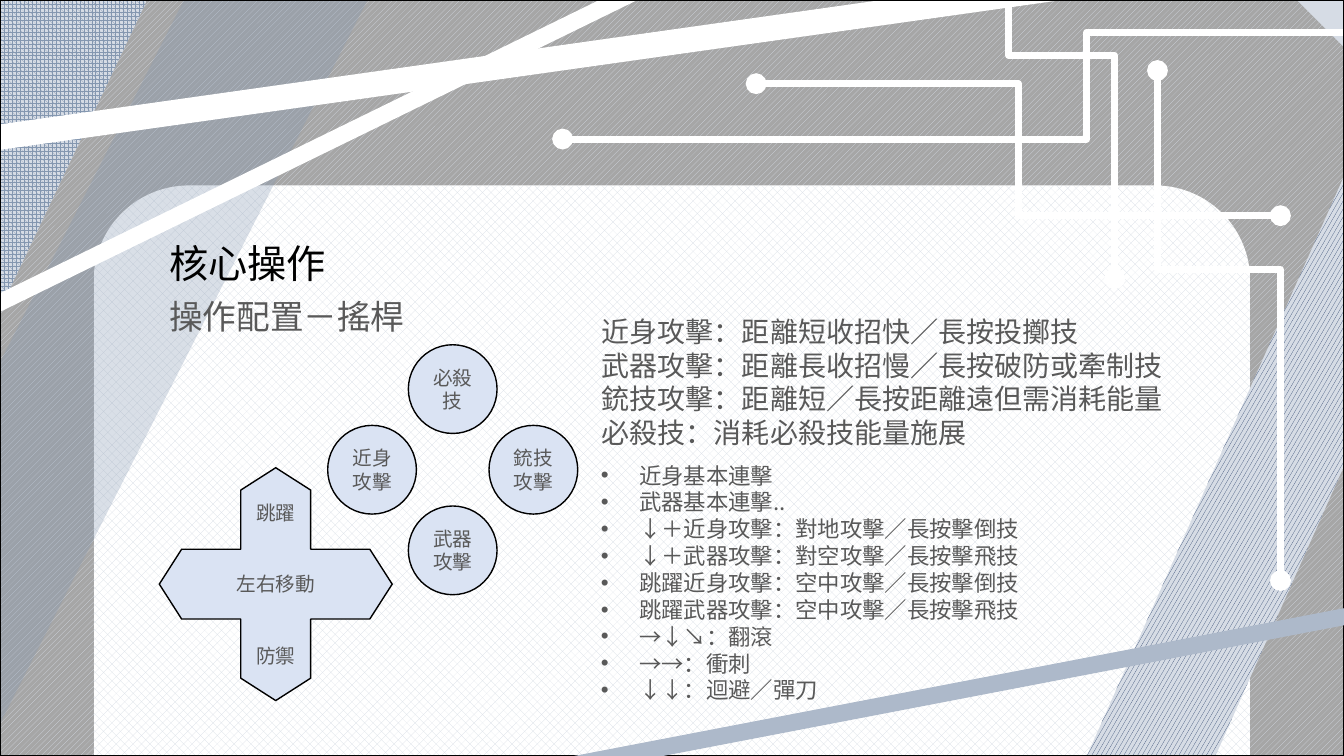
"""Build the joystick control layout slide."""
from dataclasses import dataclass

from lxml import etree
from pptx import Presentation
from pptx import util as u
from pptx.dml.color import RGBColor
from pptx.enum import dml, shapes, text
from pptx.oxml import ns

PX = 9144
SHAPE = shapes.MSO_SHAPE
PATTERN = dml.MSO_PATTERN


@dataclass(frozen=True)
class Theme:
    white: str = "FFFFFF"
    black: str = "000000"
    ink: str = "595959"
    pale: str = "D6DCE5"
    grey: str = "A6A6A6"
    navy: str = "203864"
    steel: str = "8497B0"
    mist: str = "ADB9CA"
    button: str = "DAE3F3"
    heading_font: str = "Calibri"
    text_font: str = "Noto Sans CJK SC"
    title_size: int = 28
    subtitle_size: int = 24
    lead_size: int = 20
    list_size: int = 16
    button_size: int = 14


THEME = Theme()


@dataclass(frozen=True)
class Area:
    left: int
    top: int
    width: int
    height: int

    def emu(self) -> tuple:
        return tuple(n * PX for n in (self.left, self.top, self.width, self.height))


@dataclass(frozen=True)
class Panel:
    area: Area
    kind: int
    fore: str | None = None
    back: str = THEME.pale
    pattern: int | None = None
    adjust: tuple = ()
    flip: str = ""
    alpha: int = 100
    border: str | None = None


@dataclass(frozen=True)
class Wire:
    start: tuple
    end: tuple
    width: int
    color: str = THEME.white
    bend: int | None = None
    turn: int = 0
    flip: str = ""


@dataclass(frozen=True)
class Style:
    size: int
    font: str
    color: str = THEME.ink
    align: int = text.PP_ALIGN.LEFT
    gap: int = 0
    bullet: bool = False


SLIDE = Area(0, 0, 1333, 750)
BACKDROP = (
    Panel(SLIDE, SHAPE.RECTANGLE, THEME.pale),
    Panel(Area(-227, -163, 1807, 914), SHAPE.SNIP_2_SAME_RECTANGLE, THEME.pale, THEME.grey,
          PATTERN.WIDE_UPWARD_DIAGONAL, (0.5, 0)),
    Panel(Area(93, 184, 1147, 566), SHAPE.ROUND_2_SAME_RECTANGLE, THEME.pale, THEME.white,
          PATTERN.from_xml("pct40")),
    Panel(Area(1078, 175, 255, 575), SHAPE.DIAGONAL_STRIPE, THEME.navy, THEME.pale,
          PATTERN.LARGE_CONFETTI, flip="HV"),
    Wire((891, 62), (1215, 167), 5, bend=31600, turn=270, flip="H"),
    Wire((750, 83), (1270, 214), 5, bend=50000),
    Wire((558, 32), (1348, 138), 5, bend=34200, turn=180, flip="V"),
    Wire((956, 262), (1462, 384), 5, bend=61000, turn=270, flip="V"),
    Panel(Area(0, 0, 146, 307), SHAPE.DIAGONAL_STRIPE, THEME.steel, THEME.pale,
          PATTERN.SPHERE, (0,)),
    Panel(Area(0, 1, 364, 717), SHAPE.DIAGONAL_STRIPE, THEME.steel, alpha=30),
    Wire((648, -17), (-14, 307), 12),
    Wire((1084, -17), (-14, 138), 18),
    Panel(SLIDE, SHAPE.RECTANGLE, border=THEME.black),
    Wire((1348, 609), (525, 767), 12, THEME.mist),
)
BUTTON_SIZE, BUTTON_STEP, PAD_CENTER = 88, 80, (449, 466)
BUTTONS = (("必殺技", 0, -1), ("近身攻擊", -1, 0), ("銃技攻擊", 1, 0), ("武器攻擊", 0, 1))
STICK = ("跳躍", "左右移動", "防禦")
ATTACKS = (
    "近身攻擊：距離短收招快／長按投擲技",
    "武器攻擊：距離長收招慢／長按破防或牽制技",
    "銃技攻擊：距離短／長按距離遠但需消耗能量",
    "必殺技：消耗必殺技能量施展",
)
MOVES = (
    "近身基本連擊",
    "武器基本連擊..",
    "↓＋近身攻擊：對地攻擊／長按擊倒技",
    "↓＋武器攻擊：對空攻擊／長按擊飛技",
    "跳躍近身攻擊：空中攻擊／長按擊倒技",
    "跳躍武器攻擊：空中攻擊／長按擊飛技",
    "→↓↘：翻滾",
    "→→：衝刺",
    "↓↓：迴避／彈刀",
)


def rgb(color: str) -> RGBColor:
    return RGBColor.from_string(color)


def add_tag(parent, tag: str, **values: str):
    return etree.SubElement(parent, ns.qn(tag), values)


def set_flip(shape, flip: str) -> None:
    for axis in flip:
        shape._element.spPr.find(ns.qn("a:xfrm")).set(f"flip{axis}", "1")


def draw_panel(page, panel: Panel):
    shape = page.shapes.add_shape(panel.kind, *panel.area.emu())
    shape.shadow.inherit = False
    set_flip(shape, panel.flip)
    for index, value in enumerate(panel.adjust):
        shape.adjustments[index] = value
    if panel.fore is None:
        shape.fill.background()
    elif panel.pattern is not None:
        shape.fill.patterned()
        shape.fill.pattern = panel.pattern
        shape.fill.fore_color.rgb = rgb(panel.fore)
        shape.fill.back_color.rgb = rgb(panel.back)
    else:
        shape.fill.solid()
        shape.fill.fore_color.rgb = rgb(panel.fore)
    if panel.alpha < 100:
        color = shape._element.spPr.find(".//" + ns.qn("a:srgbClr"))
        add_tag(color, "a:alpha", val=str(panel.alpha * 1000))
    if panel.border:
        shape.line.color.rgb = rgb(panel.border)
        shape.line.width = u.Pt(1)
    else:
        shape.line.fill.background()
    return shape


def draw_wire(page, wire: Wire) -> None:
    kind = shapes.MSO_CONNECTOR.STRAIGHT if wire.bend is None else shapes.MSO_CONNECTOR.ELBOW
    ends = (n * PX for n in wire.start + wire.end)
    line = page.shapes.add_connector(kind, *ends)
    line.line.color.rgb = rgb(wire.color)
    line.line.width = u.Pt(wire.width)
    props = line._element.spPr
    if wire.bend is not None:
        props.find(ns.qn("a:xfrm")).set("rot", str(wire.turn * 60000))
        set_flip(line, wire.flip)
        guides = props.find(ns.qn("a:prstGeom")).get_or_add_avLst()
        add_tag(guides, "a:gd", name="adj1", fmla=f"val {wire.bend}")
        for tag in ("a:headEnd", "a:tailEnd"):
            add_tag(props.find(ns.qn("a:ln")), tag, type="oval")
    add_tag(props, "a:effectLst")


def write(shape, lines: tuple, style: Style, anchor: int = text.MSO_ANCHOR.TOP) -> None:
    frame = shape.text_frame
    frame.text = "\n".join(lines)
    frame.word_wrap = True
    frame.auto_size = text.MSO_AUTO_SIZE.NONE
    frame.vertical_anchor = anchor
    for index, para in enumerate(frame.paragraphs):
        para.alignment = style.align
        para.space_before = u.Pt(style.gap if index else 0)
        if style.bullet:
            props = para._p.get_or_add_pPr()
            props.set("marL", str(38 * PX))
            props.set("indent", str(-38 * PX))
            add_tag(props, "a:buFont", typeface="Arial")
            add_tag(props, "a:buChar", char="•")
        for span in para.runs:
            span.font.size = u.Pt(style.size)
            span.font.name = style.font
            span.font.color.rgb = rgb(style.color)
            add_tag(span._r.get_or_add_rPr(), "a:ea", typeface=THEME.text_font)


def place(page, holder, area: Area) -> None:
    holder.left, holder.top, holder.width, holder.height = area.emu()
    page.shapes._spTree.append(holder._element)


def draw_controls(page) -> None:
    centered = Style(THEME.button_size, THEME.text_font, align=text.PP_ALIGN.CENTER)
    for label, column, row in BUTTONS:
        left, top = (center + step * BUTTON_STEP - BUTTON_SIZE // 2
                     for center, step in zip(PAD_CENTER, (column, row)))
        button = draw_panel(page, Panel(Area(left, top, BUTTON_SIZE, BUTTON_SIZE), SHAPE.OVAL,
                                        THEME.button, border=THEME.black))
        write(button, (label,), centered, text.MSO_ANCHOR.MIDDLE)
    stick = draw_panel(page, Panel(Area(158, 464, 231, 231), SHAPE.QUAD_ARROW, THEME.button,
                                   adjust=(0.375, 0.15, 0.096), border=THEME.black))
    spread = Style(THEME.button_size, THEME.text_font, align=text.PP_ALIGN.CENTER, gap=34)
    write(stick, STICK, spread, text.MSO_ANCHOR.MIDDLE)


def main() -> None:
    deck = Presentation()
    deck.slide_width, deck.slide_height = SLIDE.width * PX, SLIDE.height * PX
    page = deck.slides.add_slide(deck.slide_layouts[1])
    title, body = page.placeholders
    for item in BACKDROP:
        if isinstance(item, Wire):
            draw_wire(page, item)
        else:
            draw_panel(page, item)
    place(page, title, Area(158, 232, 551, 57))
    write(title, ("核心操作",), Style(THEME.title_size, THEME.heading_font, THEME.black))
    subtitle = page.shapes.add_textbox(*Area(158, 289, 480, 50).emu())
    write(subtitle, ("操作配置－搖桿",), Style(THEME.subtitle_size, THEME.heading_font))
    draw_controls(page)
    attacks = page.shapes.add_textbox(*Area(587, 307, 613, 145).emu())
    write(attacks, ATTACKS, Style(THEME.lead_size, THEME.text_font))
    place(page, body, Area(586, 453, 562, 252))
    write(body, MOVES, Style(THEME.list_size, THEME.text_font, bullet=True))
    deck.save("out.pptx")


if __name__ == "__main__":
    main()
